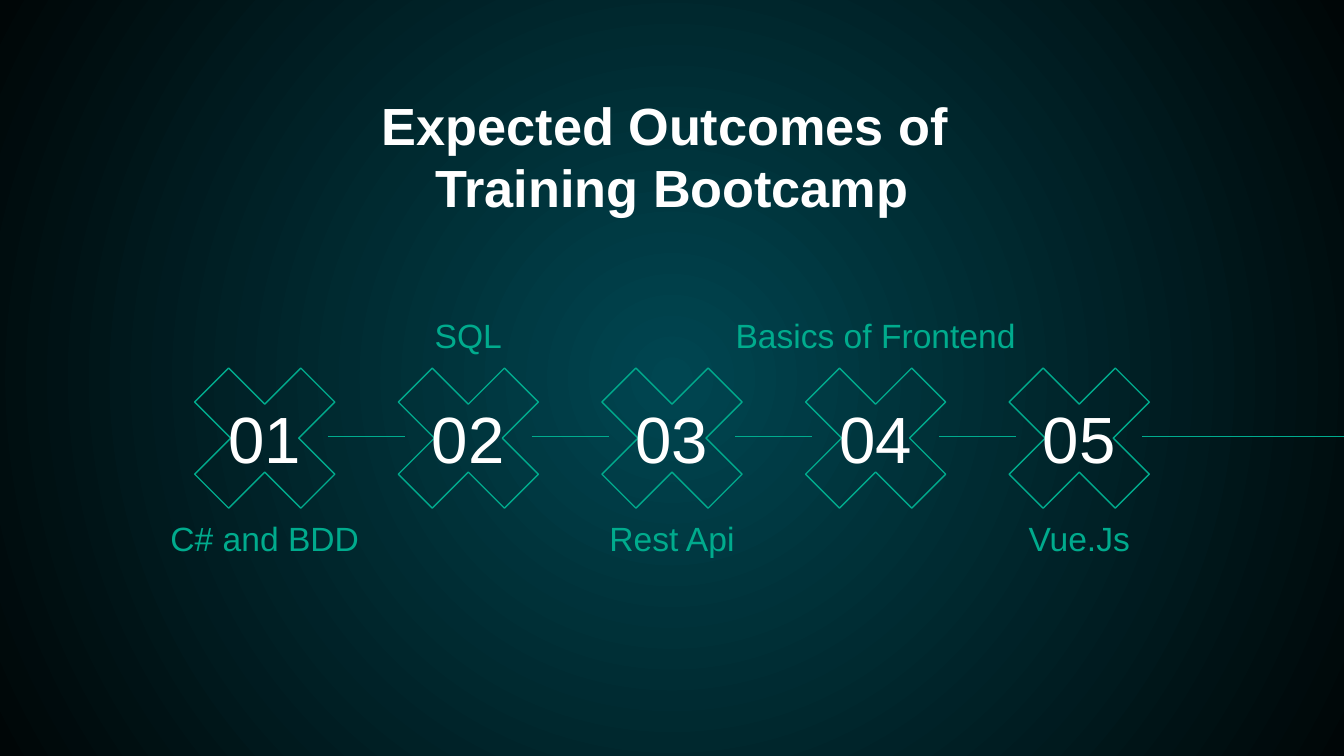
from dataclasses import dataclass

from pptx import Presentation
from pptx.dml.color import RGBColor
from pptx.enum import shapes, text
from pptx.oxml import parse_xml
from pptx.oxml import ns
from pptx.util import Inches, Pt


@dataclass(frozen=True)
class Theme:
    font: str = "Arial"
    white: RGBColor = RGBColor(0xFF, 0xFF, 0xFF)
    green: RGBColor = RGBColor(0x00, 0xAB, 0x8D)
    glow: RGBColor = RGBColor(0x00, 0x46, 0x51)
    dark: RGBColor = RGBColor(0x00, 0x06, 0x07)
    title: int = 28
    label: int = 18
    number: int = 35
    line: float = 0.75


THEME = Theme()
TOPICS = ["C# and BDD", "SQL", "Rest Api", "Basics of Frontend", "Vue.Js"]
WIDTH = 10
HEIGHT = WIDTH * 9 / 16
FIRST, LAST = 1.97, 8.03  # centres of the outer crosses
STEP = (LAST - FIRST) / (len(TOPICS) - 1)
CROSS, NUM_W, LABEL_W = 1.52, 0.94, 2.38
AXIS = 3.25


def paint_back(slide):
    """Fill the background with a glow that darkens outwards."""
    fill = slide.background.fill
    fill.gradient()
    for stop, color in zip(fill.gradient_stops, (THEME.glow, THEME.dark)):
        stop.color.rgb = color
    lin = next(slide.element.iter(ns.qn("a:lin")))
    circle = parse_xml(
        f'<a:path {ns.nsdecls("a")} path="circle">'
        '<a:fillToRect l="50000" t="50000" r="50000" b="50000"/></a:path>')
    lin.getparent().replace(lin, circle)


def write(shape, words, size, color, anchor, bold=False):
    frame = shape.text_frame
    frame.text = words
    frame.word_wrap = True
    frame.auto_size = text.MSO_AUTO_SIZE.NONE
    frame.vertical_anchor = anchor
    frame.margin_left = frame.margin_right = Inches(0.1)
    frame.margin_top = frame.margin_bottom = Inches(0.1)
    para = frame.paragraphs[0]
    para.alignment = text.PP_ALIGN.CENTER
    para.line_spacing = 1.0
    para.space_before = Pt(0)
    for run in para.runs:
        font = run.font
        font.name, font.size, font.bold = THEME.font, Pt(size), bold
        font.color.rgb = color


def add_title(slide, words):
    title = slide.shapes.title
    title.left, title.top = Inches(0.78), Inches(0.59)
    title.width, title.height = Inches(8.44), Inches(0.63)
    write(title, words, THEME.title, THEME.white,
          text.MSO_ANCHOR.TOP, bold=True)


def add_cross(slide, mid):
    cross = slide.shapes.add_shape(
        shapes.MSO_SHAPE.MATH_MULTIPLY, Inches(mid - CROSS / 2), Inches(2.5),
        Inches(CROSS), Inches(CROSS))
    cross.adjustments[0] = 0.235
    cross.shadow.inherit = False
    cross.fill.background()
    cross.line.color.rgb = THEME.green
    cross.line.width = Pt(THEME.line)


def add_text(slide, words, mid, top, width, height, size, color, anchor):
    box = slide.shapes.add_textbox(
        Inches(mid - width / 2), Inches(top), Inches(width), Inches(height))
    write(box, words, size, color, anchor)


def add_link(slide, kind, start, end):
    link = slide.shapes.add_connector(
        kind, Inches(start), Inches(AXIS), Inches(end), Inches(AXIS))
    link.line.color.rgb = THEME.green
    link.line.width = Pt(THEME.line)
    link.element.spPr.append(
        parse_xml(f'<a:effectLst {ns.nsdecls("a")}/>'))


def main():
    deck = Presentation()
    deck.slide_width, deck.slide_height = Inches(WIDTH), Inches(HEIGHT)
    slide = deck.slides.add_slide(deck.slide_layouts[5])
    paint_back(slide)
    add_title(slide, "Expected Outcomes of \vTraining Bootcamp")

    mids = [FIRST + STEP * i for i in range(len(TOPICS))]
    for mid in mids:
        add_cross(slide, mid)
    for i, (mid, topic) in enumerate(zip(mids, TOPICS)):
        top = 2.33 if i % 2 else 3.84
        add_text(slide, topic, mid, top, LABEL_W, 0.41,
                 THEME.label, THEME.green, text.MSO_ANCHOR.BOTTOM)
        add_text(slide, f"{i + 1:02}", mid, 3.01, NUM_W, 0.49,
                 THEME.number, THEME.white, text.MSO_ANCHOR.MIDDLE)

    half = NUM_W / 2
    for mid, after in zip(mids, mids[1:]):
        add_link(slide, shapes.MSO_CONNECTOR.ELBOW, mid + half, after - half)
    add_link(slide, shapes.MSO_CONNECTOR.STRAIGHT, mids[-1] + half, 10.14)
    deck.save("out.pptx")


if __name__ == "__main__":
    main()
